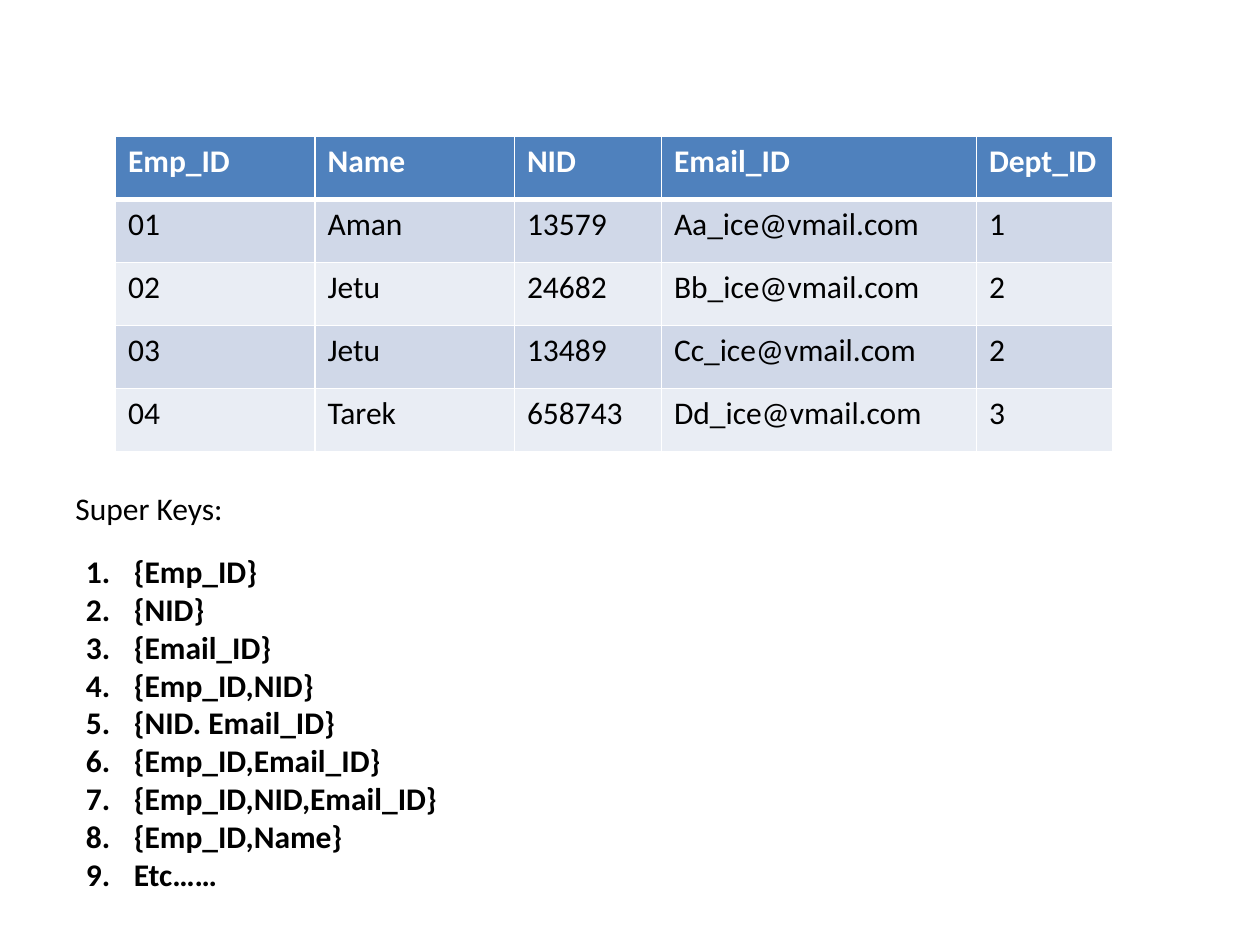
from lxml import etree
from pptx import Presentation
from pptx.dml.color import RGBColor
from pptx.enum.text import MSO_AUTO_SIZE
from pptx.oxml.ns import qn
from pptx.util import Inches, Pt

FIT_SHAPE = MSO_AUTO_SIZE.SHAPE_TO_FIT_TEXT
WHITE = RGBColor(0xFF, 0xFF, 0xFF)
BLACK = RGBColor(0x00, 0x00, 0x00)
HEADER = RGBColor(0x4F, 0x81, 0xBD)
BANDS = (RGBColor(0xE9, 0xED, 0xF4), RGBColor(0xD0, 0xD8, 0xE8))
FONT = "Calibri"
UNIT = Inches(10) / 120
INDENT = Inches(0.38)

COLUMNS = (19, 19, 14, 30, 13)
ROW_UNITS = 6
EMPLOYEES = (
    ("Emp_ID", "Name", "NID", "Email_ID", "Dept_ID"),
    ("01", "Aman", "13579", "Aa_ice@vmail.com", "1"),
    ("02", "Jetu", "24682", "Bb_ice@vmail.com", "2"),
    ("03", "Jetu", "13489", "Cc_ice@vmail.com", "2"),
    ("04", "Tarek", "658743", "Dd_ice@vmail.com", "3"),
)
SUPER_KEYS = (
    "{Emp_ID}",
    "{NID}",
    "{Email_ID}",
    "{Emp_ID,NID}",
    "{NID. Email_ID}",
    "{Emp_ID,Email_ID}",
    "{Emp_ID,NID,Email_ID}",
    "{Emp_ID,Name}",
    "Etc……",
)


def grid(units):
    return round(units * UNIT)


def add_text(p, text, size=18, color=BLACK, bold=False):
    r = p.add_run()
    r.text = text
    r.font.name = FONT
    r.font.size = Pt(size)
    r.font.bold = bold
    r.font.color.rgb = color


def number(p):
    pPr = p._p.get_or_add_pPr()
    pPr.set("marL", str(INDENT))
    pPr.set("indent", str(-INDENT))
    etree.SubElement(pPr, qn("a:buFont"), typeface="+mj-lt")
    etree.SubElement(pPr, qn("a:buAutoNum"), type="arabicPeriod")


def add_box(s, col, row, cols, rows, lines, numbered=False, **fmt):
    box = s.shapes.add_textbox(*map(grid, (col, row, cols, rows)))
    tf = box.text_frame
    tf.word_wrap = False
    tf.auto_size = FIT_SHAPE
    for i, line in enumerate(lines):
        p = tf.add_paragraph() if i else tf.paragraphs[0]
        if numbered:
            number(p)
        add_text(p, line, **fmt)


def set_borders(cell, **widths):
    tcPr = cell._tc.get_or_add_tcPr()
    for side in "LRTB":
        ln = etree.SubElement(tcPr, qn(f"a:ln{side}"), w=str(Pt(widths.get(side, 1))))
        fill = etree.SubElement(ln, qn("a:solidFill"))
        etree.SubElement(fill, qn("a:srgbClr"), val=str(WHITE))


def add_grid_table(s, col, row, rows):
    frame = s.shapes.add_table(
        len(rows), len(COLUMNS), grid(col), grid(row),
        grid(sum(COLUMNS)), grid(ROW_UNITS * len(rows)),
    )
    table = frame.table
    for column, units in zip(table.columns, COLUMNS):
        column.width = grid(units)
    for i, values in enumerate(rows):
        table.rows[i].height = grid(ROW_UNITS)
        head = i == 0
        for j, value in enumerate(values):
            cell = table.cell(i, j)
            set_borders(cell, B=3 if head else 1, T=3 if i == 1 else 1)
            cell.fill.solid()
            cell.fill.fore_color.rgb = HEADER if head else BANDS[i % 2]
            add_text(cell.text_frame.paragraphs[0], value,
                     color=WHITE if head else BLACK, bold=head)


def main():
    prs = Presentation()
    prs.slide_width, prs.slide_height = Inches(10), Inches(7.5)
    s = prs.slides.add_slide(prs.slide_layouts[6])
    add_grid_table(s, 11, 13, EMPLOYEES)
    add_box(s, 6, 46, 16.7, 4.8, ["Super Keys:"])
    add_box(s, 7, 52, 36.1, 34, SUPER_KEYS, numbered=True, bold=True)
    prs.save("out.pptx")


if __name__ == "__main__":
    main()
